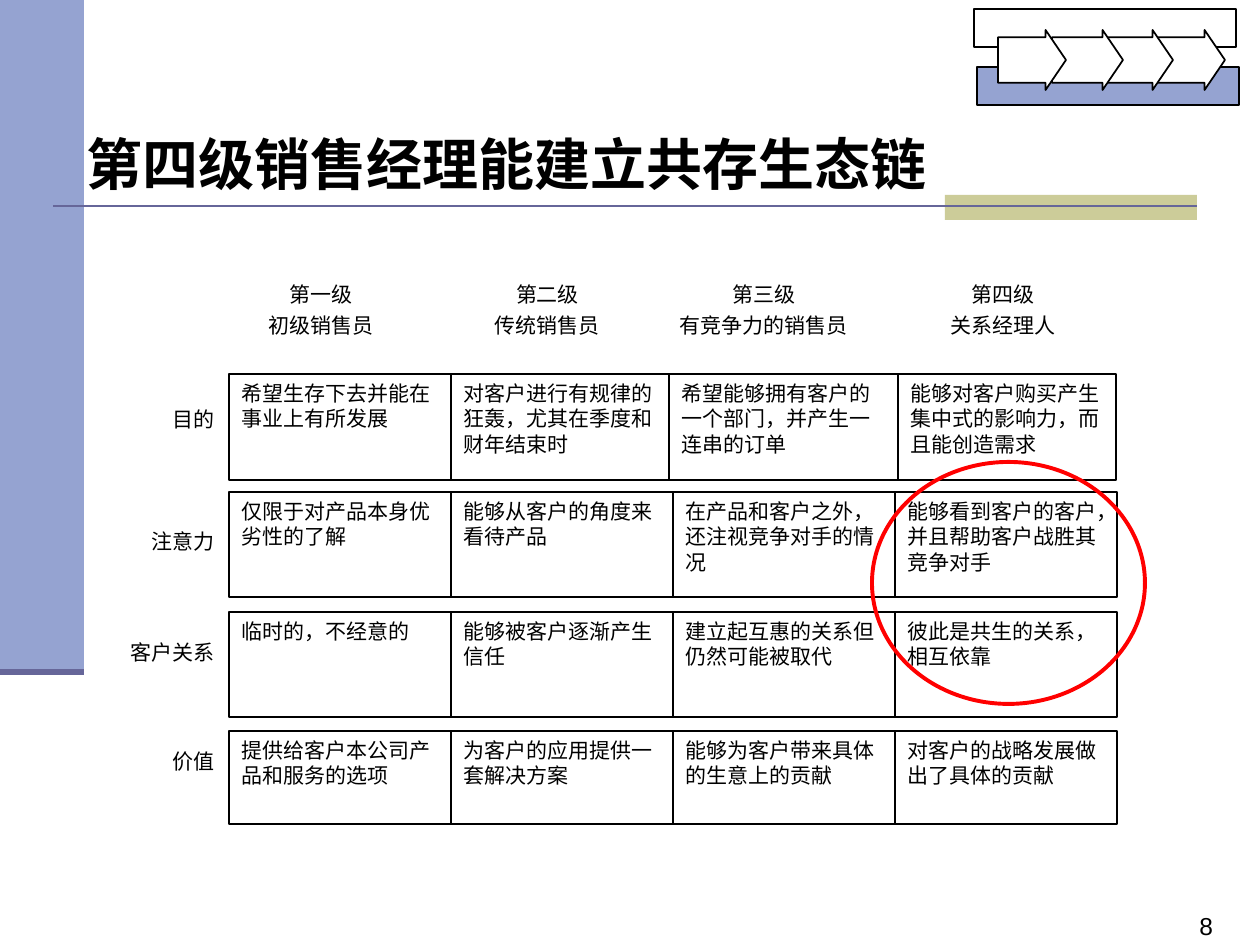
from lxml import etree
from pptx import Presentation, util as u
from pptx.dml.color import RGBColor
from pptx.enum import shapes, text
from pptx.oxml import ns

PX = 914400 // 126
COLORS = {"blue": "95A3D1", "violet": "666699", "khaki": "CCCC99",
          "white": "FFFFFF", "black": "000000", "red": "FF0000"}
CJK = "Noto Sans CJK SC"
TITLE = "第四级销售经理能建立共存生态链"
HEADERS = [  # left, width, lines
    (199, 244, ["第一级", "初级销售员"]),
    (444, 207, ["第二级", "传统销售员"]),
    (640, 248, ["第三级", "有竞争力的销售员"]),
    (879, 248, ["第四级", "关系经理人"]),
]
EVEN_EDGES = [229 + 222 * i for i in range(5)]
ROWS = [  # label, label top, top, height, column edges, cells
    ("目的", 403, 374, 106, [229, 451, 669, 898, 1116],
     ["希望生存下去并能在事业上有所发展",
      "对客户进行有规律的 狂轰，尤其在季度和财年结束时",
      "希望能够拥有客户的一个部门，并产生一连串的订单",
      "能够对客户购买产生集中式的影响力，而且能创造需求"]),
    ("注意力", 525, 492, 105, EVEN_EDGES,
     ["仅限于对产品本身优劣性的了解",
      "能够从客户的角度来看待产品",
      "在产品和客户之外，还注视竞争对手的情况",
      "能够看到客户的客户，并且帮助客户战胜其竞争对手"]),
    ("客户关系", 636, 612, 105, EVEN_EDGES,
     ["临时的，不经意的",
      "能够被客户逐渐产生信任",
      "建立起互惠的关系但仍然可能被取代",
      "彼此是共生的关系，相互依靠"]),
    ("价值", 745, 731, 93, EVEN_EDGES,
     ["提供给客户本公司产品和服务的选项",
      "为客户的应用提供一套解决方案",
      "能够为客户带来具体的生意上的贡献",
      "对客户的战略发展做出了具体的贡献"]),
]
ARROWS = [(1154, 71), (1105, 68), (1052, 71), (998, 68)]  # left, width

presentation = Presentation()
presentation.slide_width, presentation.slide_height = u.Inches(10), u.Inches(7.5)
slide = presentation.slides.add_slide(presentation.slide_layouts[5])


def rgb(name):
    return RGBColor.from_string(COLORS[name])


def emu(*lengths):
    return [length * PX for length in lengths]


def add_shape(kind, box, fill=None, line=None, width=1):
    shape = slide.shapes.add_shape(kind, *emu(*box))
    shape.shadow.inherit = False
    if fill:
        shape.fill.solid()
        shape.fill.fore_color.rgb = rgb(fill)
    else:
        shape.fill.background()
    if line:
        shape.line.color.rgb = rgb(line)
        shape.line.width = u.Pt(width)
    else:
        shape.line.fill.background()
    return shape


def add_line(start, end, width):
    line = slide.shapes.add_connector(shapes.MSO_CONNECTOR.STRAIGHT,
                                      *emu(*start, *end))
    line.line.color.rgb = rgb("violet")
    line.line.width = u.Pt(width)
    etree.SubElement(line._element.spPr, ns.qn("a:effectLst"))


def write(shape, lines, size=12, font=CJK, bold=False, anchor="TOP",
          align="LEFT", spacing=None):
    frame = shape.text_frame
    frame_format = {"word_wrap": True, "auto_size": text.MSO_AUTO_SIZE.NONE,
                    "vertical_anchor": text.MSO_ANCHOR[anchor]}
    for name, value in frame_format.items():
        setattr(frame, name, value)
    for index, line in enumerate(lines):
        paragraph = frame.add_paragraph() if index else frame.paragraphs[0]
        paragraph.alignment = text.PP_ALIGN[align]
        paragraph.space_before = u.Pt(3 if index else 0)
        if spacing:
            paragraph.line_spacing = u.Pt(spacing)
        run = paragraph.add_run()
        run.text = line
        run_format = {"size": u.Pt(size), "name": font, "bold": bold}
        for name, value in run_format.items():
            setattr(run.font, name, value)
        run.font.color.rgb = rgb("black")
        run.font._element.find(ns.qn("a:latin")).addnext(
            run.font._element.makeelement(ns.qn("a:ea"), {"typeface": CJK}))


def add_text(box, lines, **text_format):
    write(slide.shapes.add_textbox(*emu(*box)), lines, **text_format)


RECTANGLE = shapes.MSO_SHAPE.RECTANGLE

# Slide frame
add_shape(RECTANGLE, (0, 0, 84, 672), "blue")
add_shape(RECTANGLE, (945, 195, 252, 25), "khaki")
add_line((53, 206), (1197, 206), 1.5)
add_line((0, 672), (84, 672), 3.5)
add_text((1187, 905, 73, 40), ["8"], size=14, font="Arial")

title = slide.shapes.title
title.left, title.top, title.width, title.height = emu(74, 123, 1131, 81)
write(title, [TITLE], size=32, font="Times New Roman", bold=True,
      anchor="MIDDLE")

# Sales levels by aspect
for left, width, lines in HEADERS:
    add_text((left, 275, width, 79), lines, align="CENTER", spacing=14.5)

for label, label_top, top, height, edges, cells in ROWS:
    add_text((74, label_top, 153, 35), [label], align="RIGHT", spacing=13)
    for left, right, cell in zip(edges, edges[1:], cells):
        box = add_shape(RECTANGLE, (left, top, right - left, height),
                        line="black")
        write(box, [cell], font="Arial", spacing=14.5)

add_shape(shapes.MSO_SHAPE.OVAL, (872, 462, 273, 242), line="red", width=2.25)

# Process emblem
add_shape(RECTANGLE, (974, 9, 262, 38), "white", "black", 0.75)
add_shape(RECTANGLE, (977, 67, 262, 38), "blue", "black", 0.75)
for left, width in ARROWS:
    arrow = add_shape(shapes.MSO_SHAPE.RIGHT_ARROW, (left, 30, width, 60),
                      "white", "black")
    arrow.adjustments[0], arrow.adjustments[1] = 0.76, 0.34

presentation.save("out.pptx")
